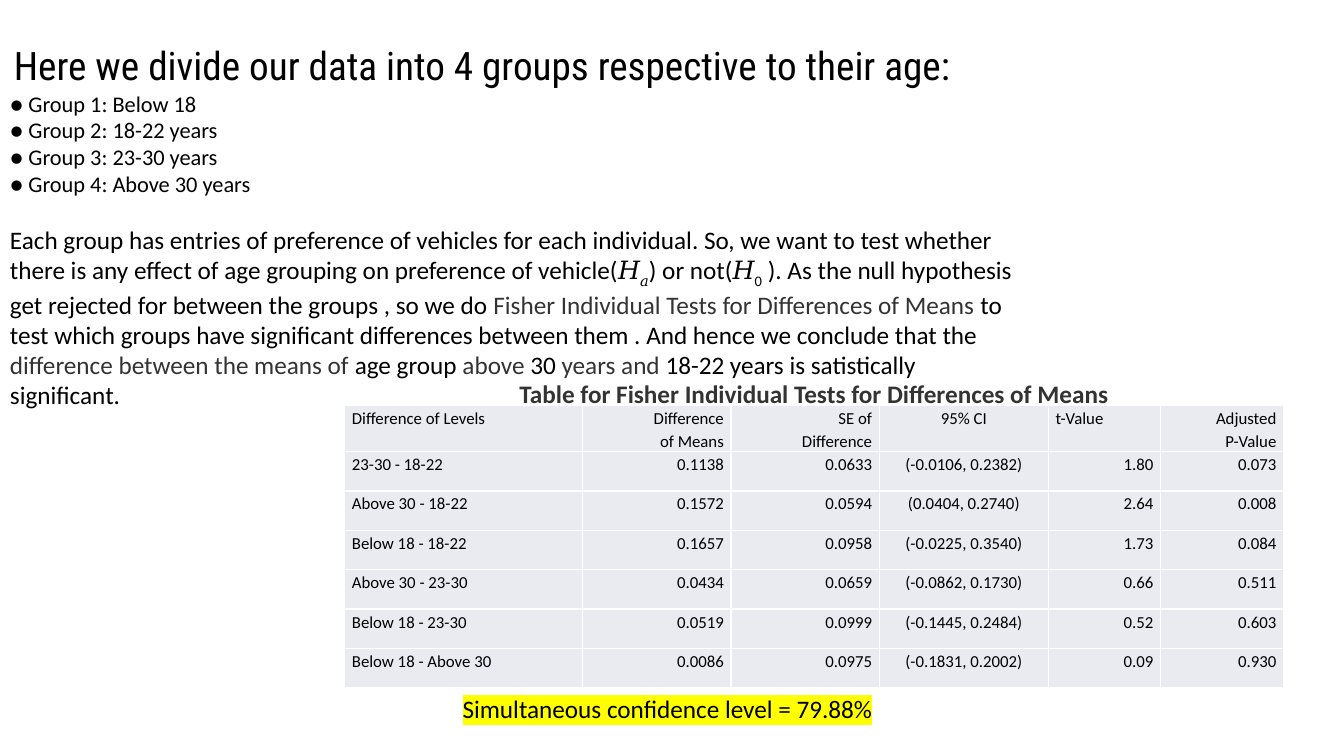
from lxml import etree
from pptx import Presentation
from pptx.dml.color import RGBColor
from pptx.enum.text import MSO_ANCHOR, MSO_AUTO_SIZE, PP_ALIGN
from pptx.oxml.ns import qn
from pptx.util import Inches, Pt

LEFT, CENTER, RIGHT, JUSTIFY = PP_ALIGN.LEFT, PP_ALIGN.CENTER, PP_ALIGN.RIGHT, PP_ALIGN.JUSTIFY
TOP, MIDDLE = MSO_ANCHOR.TOP, MSO_ANCHOR.MIDDLE
GROW = MSO_AUTO_SIZE.SHAPE_TO_FIT_TEXT

PAGE_WIDTH, PAGE_HEIGHT = Inches(13.33), Inches(7.5)
COLORS = {"ink": "000000", "grey": "333333", "cell": "EAEBF1", "rule": "FFFFFF", "marker": "FFFF00"}
BODY, HEADING, MATH = "Calibri", "Roboto Condensed", "Times New Roman"

GROUPS = ["Group 1: Below 18", "Group 2: 18-22 years", "Group 3: 23-30 years", "Group 4: Above 30 years"]
EXPLANATION = [
    ("Each group has entries of preference of vehicles for each individual. So, we want to test whether "
     "there is any effect of age grouping on preference of vehicle(", {}),
    ("𝐻", {"font": MATH}),
    ("𝑎", {"font": MATH, "subscript": True}),
    (") or not(", {}),
    ("𝐻", {"font": MATH}),
    ("0", {"subscript": True}),
    (" ). As the null hypothesis get rejected for between the groups , so we do ", {}),
    ("Fisher Individual Tests for Differences of Means ", {"color": "grey"}),
    ("to test which groups have significant differences between them . And hence we conclude that the ", {}),
    ("difference between the means of", {"color": "grey"}),
    (" age group ", {}),
    ("above ", {"color": "grey"}),
    ("30", {}),
    (" years and ", {"color": "grey"}),
    ("18-22 years is satistically significant.", {}),
]

COLUMN_SHARES = [17.7, 11.03, 11.03, 12.6, 8.33, 9.15]
COLUMN_ALIGNS = [LEFT, RIGHT, RIGHT, CENTER, RIGHT, RIGHT]
HEADER_ALIGNS = [LEFT, RIGHT, RIGHT, CENTER, LEFT, RIGHT]
HEADER_SHARE, ROW_SHARE = 6.13, 5.21
HEADER = ["Difference of Levels", "Difference\nof Means", "SE of\nDifference", "95% CI", "t-Value",
          "Adjusted\nP-Value"]
RESULTS = [
    ["23-30 - 18-22", "0.1138", "0.0633", "(-0.0106, 0.2382)", "1.80", "0.073"],
    ["Above 30 - 18-22", "0.1572", "0.0594", "(0.0404, 0.2740)", "2.64", "0.008"],
    ["Below 18 - 18-22", "0.1657", "0.0958", "(-0.0225, 0.3540)", "1.73", "0.084"],
    ["Above 30 - 23-30", "0.0434", "0.0659", "(-0.0862, 0.1730)", "0.66", "0.511"],
    ["Below 18 - 23-30", "0.0519", "0.0999", "(-0.1445, 0.2484)", "0.52", "0.603"],
    ["Below 18 - Above 30", "0.0086", "0.0975", "(-0.1831, 0.2002)", "0.09", "0.930"],
]


def across(percent):
    return round(PAGE_WIDTH * percent / 100)


def down(percent):
    return round(PAGE_HEIGHT * percent / 100)


def style_span(span, size, font=BODY, color="ink", bold=False, subscript=False):
    span.font.size = Pt(size)
    span.font.name = font
    span.font.bold = bold
    span.font.color.rgb = RGBColor.from_string(COLORS[color])
    if subscript:
        span.font._element.set("baseline", "-25000")


def highlight(span, color):
    marker = etree.Element(qn("a:highlight"))
    etree.SubElement(marker, qn("a:srgbClr"), val=COLORS[color])
    span.font._element.find(qn("a:solidFill")).addnext(marker)


def write_para(para, text, size, align=LEFT, **style):
    para.text = text
    para.alignment = align
    for span in para.runs:
        style_span(span, size, **style)


def add_text_box(page, left, top, width, height, anchor=TOP):
    box = page.shapes.add_textbox(across(left), down(top), across(width), down(height))
    frame = box.text_frame
    frame.word_wrap = True
    frame.auto_size = GROW
    frame.vertical_anchor = anchor
    return frame


def add_line(page, area, text, size, align=LEFT, anchor=TOP, **style):
    para = add_text_box(page, *area, anchor=anchor).paragraphs[0]
    write_para(para, text, size, align, **style)
    return para


def add_group_text(page, area):
    frame = add_text_box(page, *area)
    frame.text = "\n".join(f"● {group}" for group in GROUPS)
    for para in frame.paragraphs:
        write_para(para, para.text, 16, JUSTIFY)
    para = frame.add_paragraph()
    para.space_before = Pt(19.5)
    for text, style in EXPLANATION:
        span = para.add_run()
        span.text = text
        style_span(span, 18, **style)


def draw_borders(cell):
    properties = cell._tc.get_or_add_tcPr()
    for side in ("lnL", "lnR", "lnT", "lnB"):
        border = etree.SubElement(properties, qn(f"a:{side}"), w=str(Pt(1)))
        fill = etree.SubElement(border, qn("a:solidFill"))
        etree.SubElement(fill, qn("a:srgbClr"), val=COLORS["rule"])


def fill_cell(cell, text, align):
    draw_borders(cell)
    cell.fill.solid()
    cell.fill.fore_color.rgb = RGBColor.from_string(COLORS["cell"])
    cell.margin_left = cell.margin_right = Inches(0.07)
    cell.margin_top = cell.margin_bottom = 0
    para = cell.text_frame.paragraphs[0]
    write_para(para, text, 12, align)
    para.line_spacing = 1.15
    para.space_after = Pt(10)


def add_results_table(page, left, top):
    rows = [HEADER] + RESULTS
    heights = [HEADER_SHARE] + [ROW_SHARE] * len(RESULTS)
    frame = page.shapes.add_table(len(rows), len(HEADER), across(left), down(top),
                                  across(sum(COLUMN_SHARES)), down(sum(heights)))
    table = frame.table
    table.first_row = table.horz_banding = False
    for column, share in zip(table.columns, COLUMN_SHARES):
        column.width = across(share)
    for index, (row, share, texts) in enumerate(zip(table.rows, heights, rows)):
        row.height = down(share)
        aligns = COLUMN_ALIGNS if index else HEADER_ALIGNS
        for cell, text, align in zip(row.cells, texts, aligns):
            fill_cell(cell, text, align)


def main():
    deck = Presentation()
    deck.slide_width, deck.slide_height = PAGE_WIDTH, PAGE_HEIGHT
    page = deck.slides.add_slide(deck.slide_layouts[6])
    title = add_line(page, (0, 4.8, 74.7, 7.6),
                     "Here we divide our data into 4 groups respective to their age:", 28, font=HEADING)
    title._p.get_or_add_pPr().set("marL", str(Inches(0.04)))
    add_group_text(page, (0, 11.2, 76.9, 43.5))
    add_results_table(page, 25.66, 53.6)
    add_line(page, (-11.48, 49.33, 144.11, 5.33),
             "Table for Fisher Individual Tests for Differences of Means", 18, CENTER, MIDDLE,
             color="grey", bold=True)
    level = add_line(page, (33.68, 91.07, 72.02, 5.33), "Simultaneous confidence level = 79.88%", 18)
    highlight(level.runs[0], "marker")
    deck.save("out.pptx")


if __name__ == "__main__":
    main()
